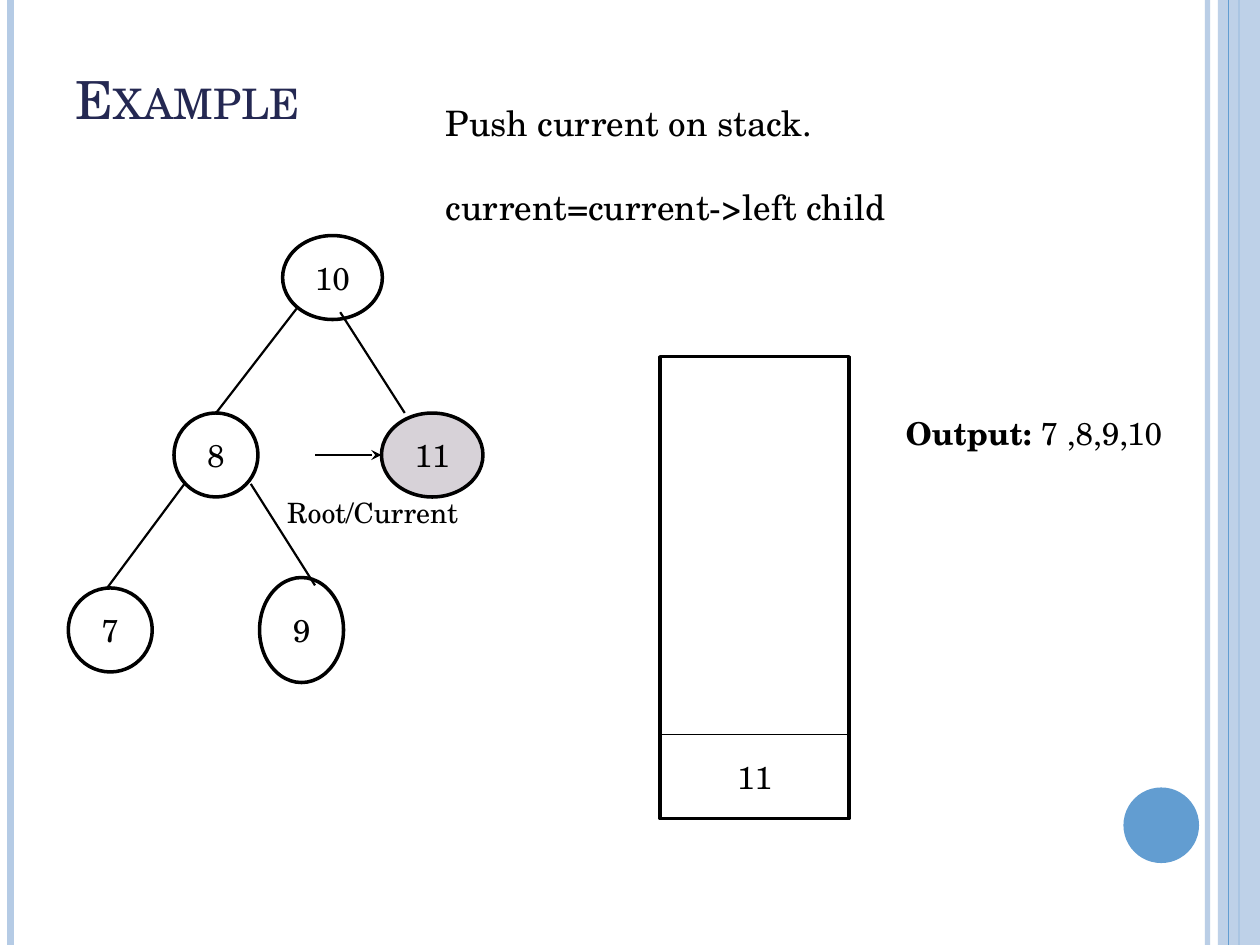
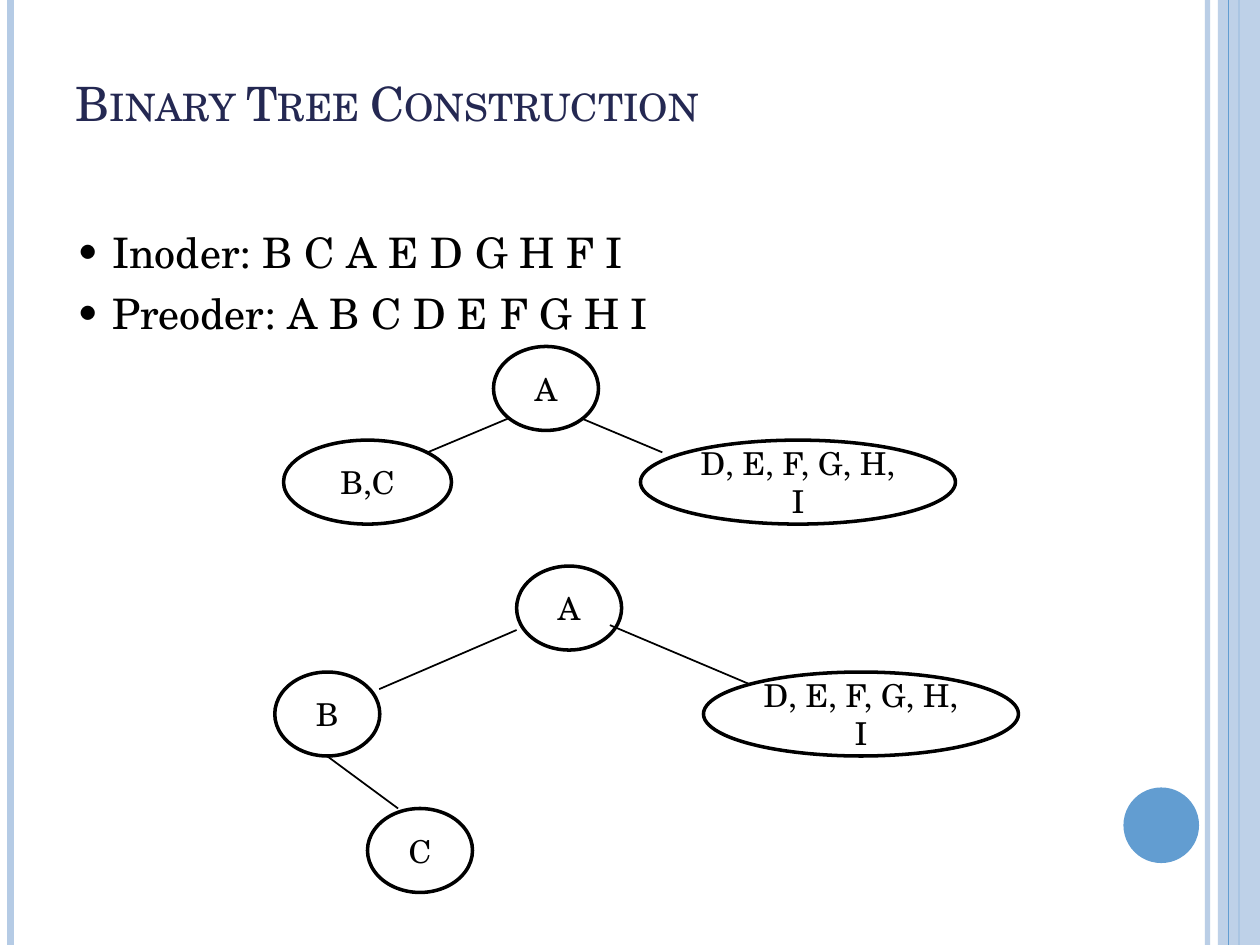
from dataclasses import dataclass

from lxml import etree
from pptx import Presentation
from pptx.dml.color import RGBColor
from pptx.enum.shapes import MSO_CONNECTOR, MSO_SHAPE
from pptx.enum.text import MSO_ANCHOR, MSO_AUTO_SIZE, PP_ALIGN
from pptx.oxml.ns import qn
from pptx.util import Pt

OVAL, RECT = MSO_SHAPE.OVAL, MSO_SHAPE.RECTANGLE
LINE = MSO_CONNECTOR.STRAIGHT
TOP, MIDDLE, BOTTOM = MSO_ANCHOR.TOP, MSO_ANCHOR.MIDDLE, MSO_ANCHOR.BOTTOM
LEFT, CENTER = PP_ALIGN.LEFT, PP_ALIGN.CENTER
FIXED = MSO_AUTO_SIZE.NONE
WIDTH, HEIGHT = 720, 540
ROW = 48


@dataclass(frozen=True)
class Theme:
    font: str = "TeX Gyre Schola"
    ink: str = "000000"
    paper: str = "FFFFFF"
    navy: str = "242852"
    pale: str = "B5CBE5"
    blue: str = "629DD1"
    mark: str = "D7D2D8"
    head: int = 30
    topic: int = 27
    label: int = 16
    node: int = 18
    step: int = 20
    list: int = 24
    border: float = 2
    edge: float = 1


def rgb(code):
    return RGBColor.from_string(code)


def fade(part, alpha):
    color = next(part.iter(qn("a:srgbClr")))
    etree.SubElement(color, qn("a:alpha")).set("val", str(alpha * 1000))


class Deck:
    def __init__(self, theme):
        self.theme = theme
        self.prs = Presentation()
        self.prs.slide_width, self.prs.slide_height = Pt(WIDTH), Pt(HEIGHT)
        self.slide = None

    def page(self, title, size, height):
        self.slide = self.prs.slides.add_slide(self.prs.slide_layouts[5])
        self.bands()
        head = self.slide.shapes.title
        head.left, head.top = Pt(36), Pt(21.6)
        head.width, head.height = Pt(588), Pt(height)
        self.label(head, [title], size, self.theme.navy, LEFT, BOTTOM)
        for run in head.text_frame.paragraphs[0].runs:
            run.font._element.set("cap", "small")

    def bands(self):
        t = self.theme
        self.rule(690, t.pale, 3, 93)
        self.rule(6, t.pale, 4.5)
        self.rule(708, t.blue, 1.5)
        side = self.shape(RECT, (696, 0, 24, HEIGHT), t.pale)
        fade(side._element.spPr, 87)
        self.rule(702, t.blue, 0.75)
        self.shape(OVAL, (642, 450, 43.2, 43.2), t.blue)

    def rule(self, x, color, width, alpha=100):
        line = self.line((x, 0), (x, HEIGHT), width, color)
        if alpha < 100:
            fade(line._element.spPr, alpha)

    def shape(self, kind, box, fill, border=None):
        item = self.slide.shapes.add_shape(kind, *map(Pt, box))
        item.shadow.inherit = False
        item.fill.solid()
        item.fill.fore_color.rgb = rgb(fill)
        if border:
            item.line.color.rgb = rgb(self.theme.ink)
            item.line.width = Pt(border)
        else:
            item.line.fill.background()
        return item

    def node(self, text, x, y, width, height=ROW, fill=None):
        t = self.theme
        item = self.shape(OVAL, (x, y, width, height), fill or t.paper, t.border)
        self.label(item, [text], t.node, t.ink, CENTER, MIDDLE)

    def line(self, start, end, width=None, color=None, arrow=False):
        t = self.theme
        item = self.slide.shapes.add_connector(LINE, *map(Pt, start + end))
        item.line.width = Pt(width or t.edge)
        item.line.color.rgb = rgb(color or t.ink)
        props = item._element.spPr
        if arrow:
            tip = etree.SubElement(props.find(qn("a:ln")), qn("a:tailEnd"))
            tip.set("type", "stealth")
        etree.SubElement(props, qn("a:effectLst"))
        return item

    def edges(self, pairs, width=None):
        for start, end in pairs:
            self.line(start, end, width)

    def note(self, box, lines, size, gap=0, align=LEFT, anchor=TOP):
        item = self.slide.shapes.add_textbox(*map(Pt, box))
        self.label(item, lines, size, self.theme.ink, align, anchor, gap)
        return item

    def bullets(self, box, lines, size, gap, indent):
        item = self.note(box, lines, size, gap)
        for para in item.text_frame.paragraphs:
            props = para._p.get_or_add_pPr()
            props.set("marL", str(Pt(indent)))
            props.set("indent", str(-Pt(indent)))
            font = etree.SubElement(props, qn("a:buFont"))
            font.set("typeface", self.theme.font)
            etree.SubElement(props, qn("a:buChar")).set("char", "•")

    def label(self, item, lines, size, color, align, anchor, gap=0):
        frame = item.text_frame
        frame.text = "\n".join(lines)
        frame.word_wrap = True
        frame.auto_size = FIXED
        frame.vertical_anchor = anchor
        for i, para in enumerate(frame.paragraphs):
            para.alignment = align
            para.space_before = Pt(gap if i else 0)
            for run in para.runs:
                self.style(run, size, color)

    def style(self, run, size, color, bold=False):
        run.font.name = self.theme.font
        run.font.size = Pt(size)
        run.font.color.rgb = rgb(color)
        run.font.bold = bold


def walk(deck):
    t = deck.theme
    deck.page("Example", t.head, 56.2)

    deck.node("11", 218, 236, 58, fill=t.mark)
    deck.node("8", 99.4, 236, ROW)
    deck.node("10", 161.5, 134.6, 57)
    deck.node("7", 39, 336, ROW)
    deck.node("9", 148.3, 330, ROW, 60)
    deck.edges([
        ((170, 175.7), (123.5, 236)),
        ((194.4, 178.4), (231.3, 236)),
        ((105.8, 276), (61.2, 336)),
        ((143.3, 276.5), (180, 334.5)),
    ], 1.25)

    x, y, width, height = 377.3, 203.8, 108, 264
    slot = y + height - ROW
    deck.shape(RECT, (x, y, width, height), t.paper, t.border)
    deck.line((x, slot), (x + width, slot))
    deck.note((x, slot, width, ROW), ["11"], t.node, align=CENTER, anchor=MIDDLE)

    deck.note((157, 279.4, 118, 26.6), ["Root/Current"], t.label)
    steps = ["Push current on stack.", "current=current->left child"]
    deck.note((247.7, 54.7, 376.6, 170), steps, t.step, 24)
    result = deck.note((510.5, 233.3, 197, 29), ["Output: "], t.node)
    para = result.text_frame.paragraphs[0]
    para.runs[0].font.bold = True
    run = para.add_run()
    run.text = "7 ,8,9,10"
    deck.style(run, t.node, t.ink)
    deck.line((180, 260), (218, 260), arrow=True)


def build(deck):
    t = deck.theme
    deck.page("Binary Tree Construction", t.topic, 57)
    orders = ["Inoder: B C A E D G H F I", "Preoder: A B C D E F G H I"]
    deck.bullets((36, 126, 588, 384), orders, t.list, 6, 21)

    small, wide = 60, 180
    rest = "D, E, F, G, H, I"
    deck.node("A", 282, 198, small)
    deck.node("B,C", 162, 251.5, 96)
    deck.node(rest, 366, 251.5, wide)
    deck.node("A", 295.2, 323.5, small)
    deck.node("B", 157, 384, small)
    deck.node("C", 210, 462, small)
    deck.node(rest, 402, 384, wide)
    deck.edges([
        ((290.8, 239), (244.3, 258.5)),
        ((378.5, 258.5), (332, 239)),
        ((295.2, 360), (216.7, 393.8)),
        ((428.4, 391), (348.5, 357.2)),
        ((227.5, 462), (187.5, 432.5)),
    ])


def main():
    deck = Deck(Theme())
    walk(deck)
    build(deck)
    deck.prs.save("out.pptx")


if __name__ == "__main__":
    main()
